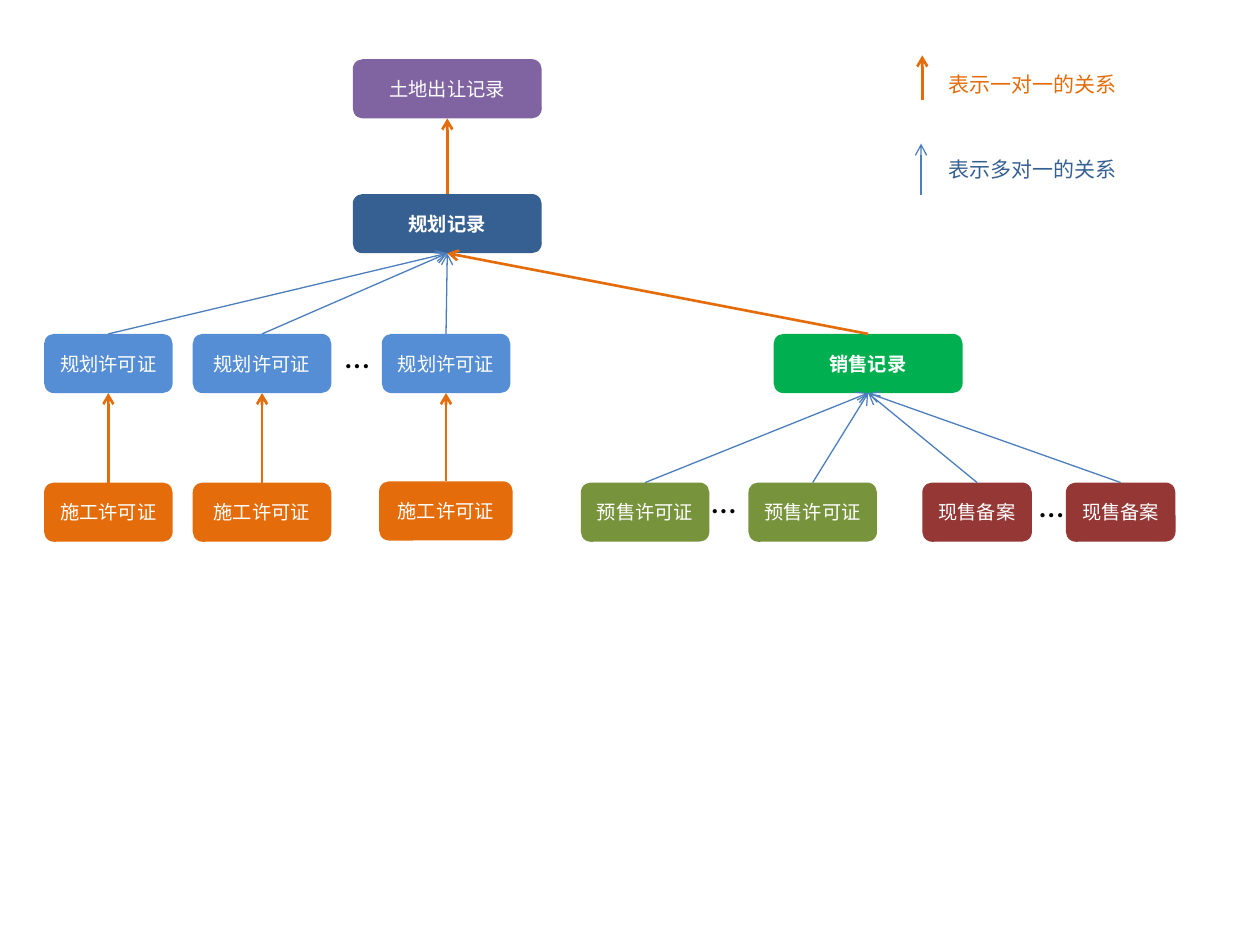
from lxml import etree
from pptx import Presentation
from pptx.dml.color import RGBColor
from pptx.enum.shapes import MSO_CONNECTOR, MSO_SHAPE
from pptx.enum.text import MSO_ANCHOR, MSO_AUTO_SIZE, PP_ALIGN
from pptx.oxml.ns import qn
from pptx.util import Inches, Pt

ROUND = MSO_SHAPE.ROUNDED_RECTANGLE
LINE = MSO_CONNECTOR.STRAIGHT
MIDDLE = MSO_ANCHOR.MIDDLE
CENTER = PP_ALIGN.CENTER
GROW = MSO_AUTO_SIZE.SHAPE_TO_FIT_TEXT

WHITE = RGBColor(0xFF, 0xFF, 0xFF)
BLACK = RGBColor(0, 0, 0)
PURPLE = RGBColor(0x80, 0x64, 0xA2)
NAVY = RGBColor(0x37, 0x60, 0x92)
SKY = RGBColor(0x55, 0x8E, 0xD5)
ORANGE = RGBColor(0xE4, 0x6C, 0x0A)
GREEN = RGBColor(0x00, 0xB0, 0x50)
OLIVE = RGBColor(0x77, 0x93, 0x3C)
RED = RGBColor(0x95, 0x37, 0x35)
BLUE = RGBColor(0x4B, 0x7E, 0xBC)

HAN = "Noto Sans CJK SC"
LATIN = "Calibri"
ONE = (ORANGE, 1.5)
MANY = (BLUE, 0.75)
BOX_H = 0.47
TOP, BOTTOM = 0, 2  # connection sites of a box


def write(frame, text, color, size, face=HAN, bold=None):
    """Put one formatted run into a text frame."""
    run = frame.paragraphs[0].add_run()
    run.text = text
    style = {"name": face, "size": Pt(size), "bold": bold}
    for key, value in style.items():
        setattr(run.font, key, value)
    run.font.color.rgb = color
    east = etree.SubElement(run.font._element, qn("a:ea"))
    east.set("typeface", face)


def add_box(slide, left, top, width, text, fill, bold=None):
    """Add a rounded box with white centred text."""
    box = slide.shapes.add_shape(
        ROUND, Inches(left), Inches(top), Inches(width), Inches(BOX_H))
    box.shadow.inherit = False
    box.fill.solid()
    box.fill.fore_color.rgb = fill
    box.line.fill.background()
    box.text_frame.word_wrap = True
    box.text_frame.vertical_anchor = MIDDLE
    box.text_frame.paragraphs[0].alignment = CENTER
    write(box.text_frame, text, WHITE, 11, bold=bold)
    return box


def add_label(slide, left, top, width, height, *style):
    """Add a text box that does not wrap."""
    label = slide.shapes.add_textbox(
        Inches(left), Inches(top), Inches(width), Inches(height))
    label.text_frame.word_wrap = False
    label.text_frame.auto_size = GROW
    write(label.text_frame, *style)


def add_dots(slide, left, top):
    """Add the ellipsis that stands between two boxes."""
    add_label(slide, left, top, 0.39, 0.44, "…", BLACK, 20, LATIN)


def add_arrow(slide, kind, x=0, start=0, end=0):
    """Add an upright open arrow in the style of a relation."""
    arrow = slide.shapes.add_connector(
        LINE, Inches(x), Inches(start), Inches(x), Inches(end))
    color, weight = kind
    arrow.line.color.rgb = color
    arrow.line.width = Pt(weight)
    props = arrow._element.spPr
    tail = etree.SubElement(props.find(qn("a:ln")), qn("a:tailEnd"))
    tail.set("type", "arrow")
    etree.SubElement(props, qn("a:effectLst"))
    return arrow


def link(slide, child, parent, kind):
    """Join the top of a child to the bottom of its parent."""
    arrow = add_arrow(slide, kind)
    arrow.begin_connect(child, TOP)
    arrow.end_connect(parent, BOTTOM)


def draw_plan(slide, left, top):
    """Draw the land and planning tree; return the planning box."""
    land = add_box(slide, left + 2.45, top, 1.5, "土地出让记录", PURPLE)
    plan = add_box(slide, left + 2.45, top + 1.07, 1.5, "规划记录", NAVY, True)
    link(slide, plan, land, ONE)
    # offset and width of the permit, width and rise of the building permit
    columns = ((0, 1.02, 1.02, 0), (1.18, 1.1, 1.1, 0),
               (2.68, 1.02, 1.06, 0.01))
    for x, width, wide, rise in columns:
        permit = add_box(slide, left + x, top + 2.18, width, "规划许可证", SKY)
        build = add_box(slide, left + x - (wide - width) / 2,
                        top + 3.36 - rise, wide, "施工许可证", ORANGE)
        link(slide, permit, plan, MANY)
        link(slide, build, permit, ONE)
    add_dots(slide, left + 2.29, top + 2.13)
    return plan


def draw_sales(slide, left, top, plan):
    """Draw the sales tree and join it to the planning box."""
    sales = add_box(slide, left + 1.53, top, 1.5, "销售记录", GREEN, True)
    link(slide, sales, plan, ONE)
    groups = (("预售许可证", OLIVE, 1.02, (0, 1.33)),
              ("现售备案", RED, 0.87, (2.71, 3.85)))
    for text, fill, width, places in groups:
        for x in places:
            leaf = add_box(slide, left + x, top + 1.18, width, text, fill)
            link(slide, leaf, sales, MANY)
    add_dots(slide, left + 0.94, top + 1.1)
    add_dots(slide, left + 3.54, top + 1.13)


def draw_legend(slide, left, top):
    """Explain the two kinds of arrow."""
    rows = (("表示一对一的关系", ORANGE, ONE, 0.01, 0.08, 0.35, 0),
            ("表示多对一的关系", NAVY, MANY, 0, 0.75, 1.11, 0.7))
    for text, color, kind, x, drop, start, end in rows:
        add_label(slide, left + 0.12, top + drop, 1.55, 0.3, text, color, 12)
        add_arrow(slide, kind, left + x, top + start, top + end)


def main():
    """Build the slide and save it."""
    deck = Presentation()
    deck.slide_width, deck.slide_height = Inches(10), Inches(7.5)
    slide = deck.slides.add_slide(deck.slide_layouts[6])
    plan = draw_plan(slide, 0.35, 0.47)
    draw_sales(slide, 4.61, 2.65, plan)
    draw_legend(slide, 7.31, 0.44)
    deck.save("out.pptx")


main()
